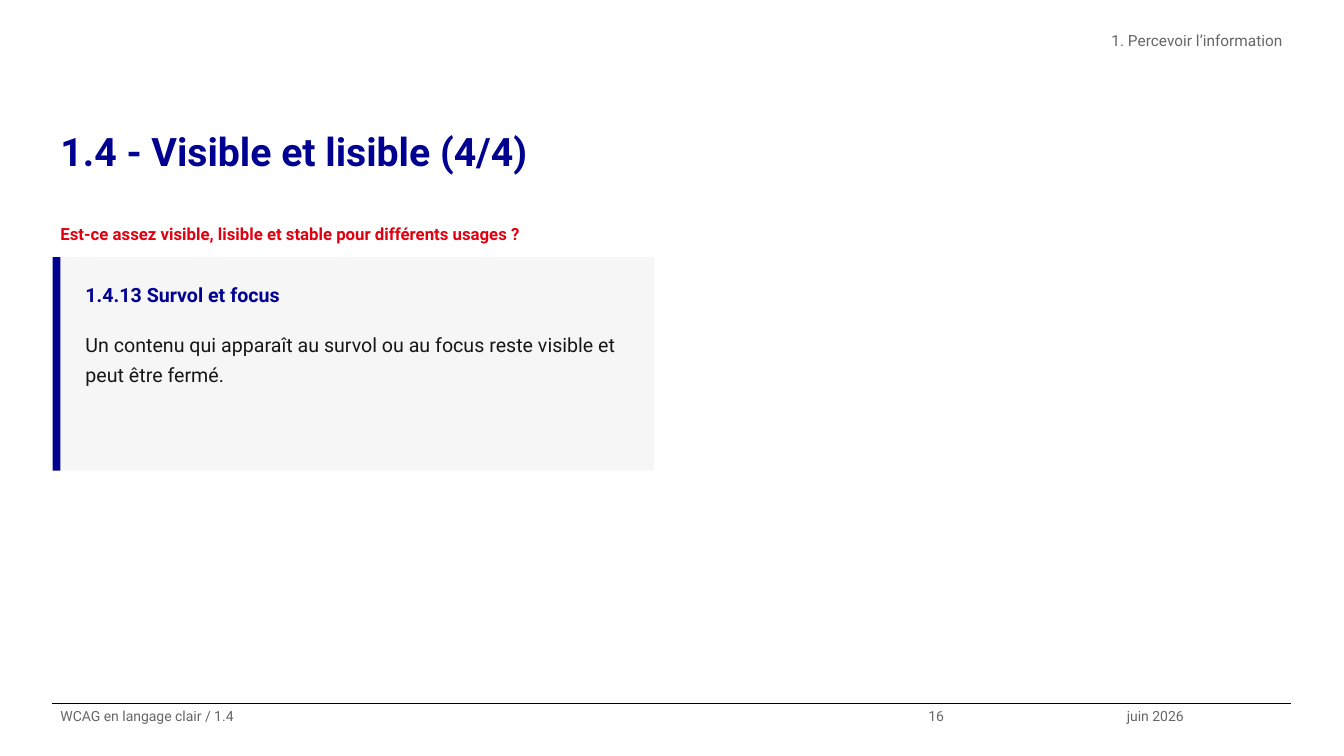
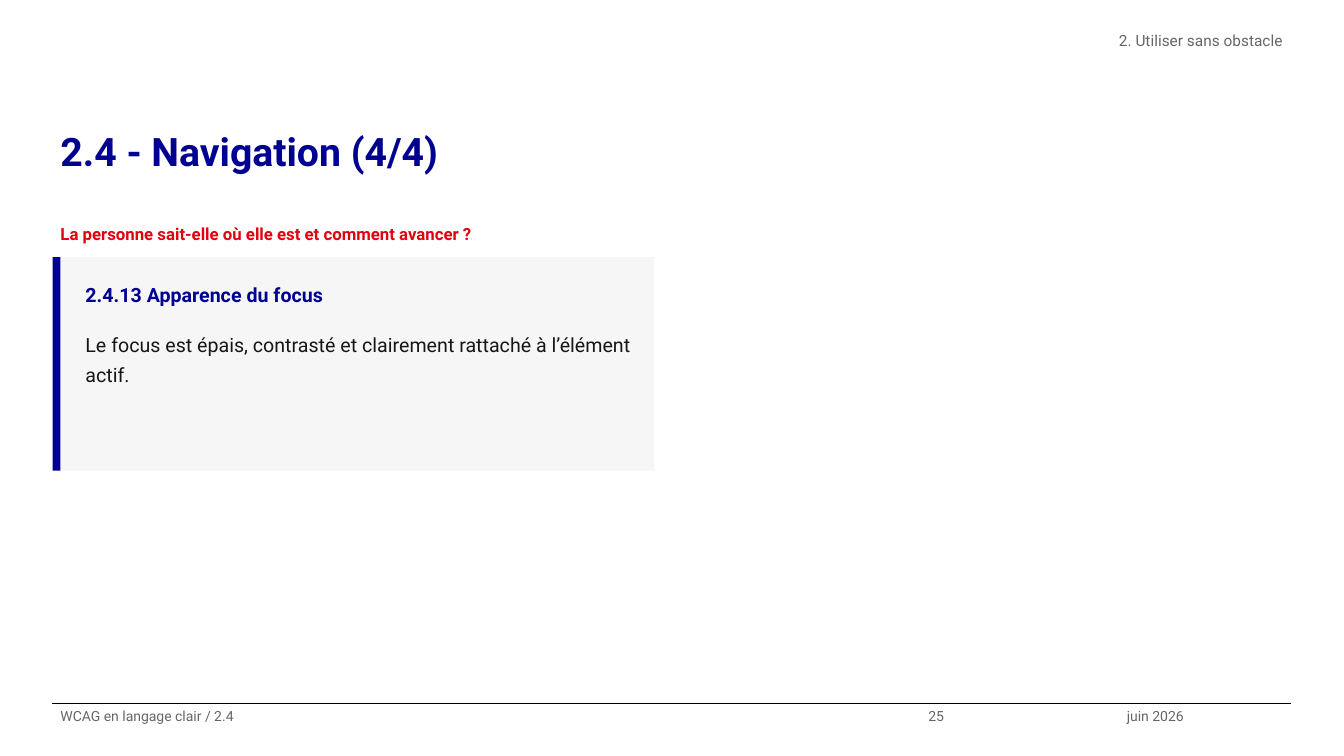
"""Build two slides that explain WCAG criteria in plain language."""
from pptx import Presentation
from pptx.dml.color import RGBColor
from pptx.enum.shapes import MSO_CONNECTOR as Line, MSO_SHAPE as Shape
from pptx.enum.text import MSO_ANCHOR as Anchor, MSO_AUTO_SIZE as Auto, PP_ALIGN as Align
from pptx.oxml.ns import qn
from pptx.util import Pt

BLUE = RGBColor(0x00, 0x00, 0x91)
RED = RGBColor(0xE1, 0x00, 0x0F)
INK = RGBColor(0x16, 0x16, 0x16)
GREY = RGBColor(0x66, 0x66, 0x66)
PALE = RGBColor(0xF6, 0xF6, 0xF6)
BLACK = RGBColor(0, 0, 0)

LEFT, WIDE = 37.5, 884.5
FOOT, BAND = 502.5, 37.5
CARD, TALL, BAR = 183.6, 152.6, 5.7
INNER, COL = 55.4, 402

PAGES = [
    ("1.4", "Visible et lisible (4/4)", "1. Percevoir l’information", "16",
     "Est-ce assez visible, lisible et stable pour différents usages ?",
     "1.4.13 Survol et focus",
     "Un contenu qui apparaît au survol ou au focus reste visible et peut être fermé."),
    ("2.4", "Navigation (4/4)", "2. Utiliser sans obstacle", "25",
     "La personne sait-elle où elle est et comment avancer ?",
     "2.4.13 Apparence du focus",
     "Le focus est épais, contrasté et clairement rattaché à l’élément actif."),
]


def write(box, place, text, size, color, bold=False, pad=0, align=Align.LEFT):
    box.left, box.top, box.width, box.height = [Pt(n) for n in place]
    frame = box.text_frame
    frame.word_wrap = True
    frame.auto_size = Auto.NONE
    frame.vertical_anchor = Anchor.TOP
    frame.margin_left = frame.margin_right = Pt(5.67)
    frame.margin_top = frame.margin_bottom = Pt(pad)
    para = frame.paragraphs[0]
    para.alignment = align
    para.line_spacing = 1.25
    para.space_before = Pt(0)
    run = para.add_run()
    run.text = text
    font = run.font
    font.name, font.size, font.bold = "Roboto", Pt(size), bold
    font.color.rgb = color
    return para


deck = Presentation()
deck.slide_width, deck.slide_height = Pt(960), Pt(540)

for code, name, part, page, ask, rule, plain in PAGES:
    slide = deck.slides.add_slide(deck.slide_layouts[1])
    shapes = slide.shapes

    write(shapes.title, (LEFT, 82.8, WIDE, 75.6), f"{code} - {name}", 28, BLUE, True)
    para = write(slide.placeholders[1], (347.5, 18.7, 574.5, BAND), part, 11, GREY,
                 align=Align.RIGHT)
    props = para._p.get_or_add_pPr()
    props.set("marL", "0")
    props.set("indent", "0")
    props.append(props.makeelement(qn("a:buNone"), {}))

    for x, width, color in [(LEFT + BAR, 424, PALE), (LEFT, BAR, BLUE)]:
        rect = shapes.add_shape(Shape.RECTANGLE, Pt(x), Pt(CARD), Pt(width), Pt(TALL))
        rect.shadow.inherit = False
        rect.fill.solid()
        rect.fill.fore_color.rgb = color
        rect.line.fill.background()

    for place, text, size, color, bold, pad in [
        ((LEFT, 152.6, WIDE, 20), ask, 12, RED, True, 3.6),
        ((INNER, 194.4, COL, 32.4), rule, 14, BLUE, True, 3.6),
        ((INNER, 230.4, COL, 95), plain, 14, INK, False, 3.6),
        ((LEFT, FOOT, 620, BAND), f"WCAG en langage clair / {code}", 10, GREY, False, 0),
        ((657.5, FOOT, 141.7, BAND), page, 10, GREY, False, 0),
        ((799.2, FOOT, 122.8, BAND), "juin 2026", 10, GREY, False, 0),
    ]:
        box = shapes.add_textbox(0, 0, 0, 0)
        write(box, place, text, size, color, bold, pad)

    edge = shapes.add_connector(Line.STRAIGHT, Pt(LEFT), Pt(FOOT), Pt(LEFT + WIDE), Pt(FOOT))
    edge.line.color.rgb = BLACK
    edge.line.width = Pt(0.8)
    look = edge._element.spPr
    look.append(look.makeelement(qn("a:effectLst"), {}))

deck.save("out.pptx")
